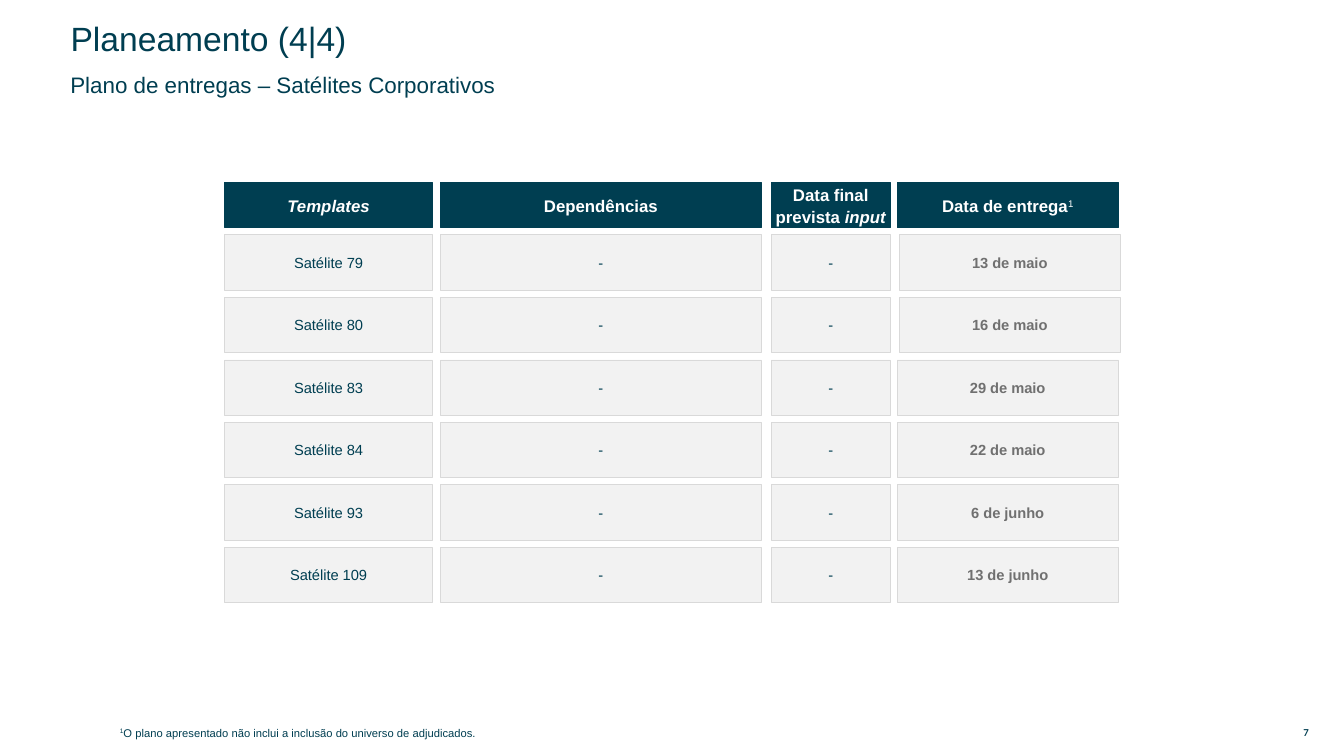
from pptx import Presentation
from pptx.dml.color import RGBColor
from pptx.enum.shapes import MSO_SHAPE
from pptx.enum.text import MSO_ANCHOR, MSO_AUTO_SIZE, PP_ALIGN
from pptx.util import Emu, Pt

PX = 9144  # 100 px to the inch
COLORS = {
    "petrol": "003E51",
    "white": "FFFFFF",
    "cell": "F2F2F2",
    "border": "D9D9D9",
    "date": "707070",
}
# Left edge, width and side inset of each column, relative to the plan
COLUMNS = [(0, 206, 4), (214, 318, 8), (542, 118, 12), (667, 219, 12)]
HEADERS = [
    [("Templates", "italic")],
    [("Dependências", "")],
    [("Data final prevista ", ""), ("input", "italic")],
    [("Data de entrega", ""), ("1", "superscript")],
]
DELIVERIES = [
    ("Satélite 79", "13 de maio"),
    ("Satélite 80", "16 de maio"),
    ("Satélite 83", "29 de maio"),
    ("Satélite 84", "22 de maio"),
    ("Satélite 93", "6 de junho"),
    ("Satélite 109", "13 de junho"),
]
HEADER_HEIGHT, ROW_HEIGHT, FIRST_ROW, ROW_STEP = 45, 55, 52, 62
EARLY_ROWS, EARLY_SHIFT = 2, 2


def color(name):
    return RGBColor.from_string(COLORS[name])


def px(*lengths):
    return [Emu(length * PX) for length in lengths]


def write(shape, spans, size, ink="petrol", bold=False, align=PP_ALIGN.LEFT,
          spacing=1.0, insets=(10, 5), anchor=MSO_ANCHOR.MIDDLE, font="Arial"):
    """Fill a shape with one paragraph of (text, style) spans."""
    frame = shape.text_frame
    frame.word_wrap = True
    frame.auto_size = MSO_AUTO_SIZE.NONE
    frame.vertical_anchor = anchor
    frame.margin_left, frame.margin_top = px(*insets)
    frame.margin_right, frame.margin_bottom = px(*insets)
    para = frame.paragraphs[0]
    para.alignment = align
    para.line_spacing = spacing
    para.space_before = Pt(0)
    para.font.name = font
    para.font.size = Pt(size)
    para.font.bold = bold
    para.font.color.rgb = color(ink)
    for text, style in spans:
        span = para.add_run()
        span.text = text
        if style == "italic":
            span.font.italic = True
        elif style == "superscript":
            span.font.bold = False
            span.font._element.set("baseline", "30000")


def add_cell(page, box, fill, border, border_width):
    cell = page.shapes.add_shape(MSO_SHAPE.RECTANGLE, *px(*box))
    cell.shadow.inherit = False
    cell.fill.solid()
    cell.fill.fore_color.rgb = color(fill)
    cell.line.color.rgb = color(border)
    cell.line.width = Pt(border_width)
    return cell


def add_headings(page, left, top):
    title = page.shapes.title
    title.left, title.top, title.width, title.height = px(left, top, 795, 26)
    write(title, [("Planeamento (4|4)", "")], 24, spacing=0.9)
    subtitle = page.shapes.add_textbox(*px(left, top + 46, 766, 26))
    write(subtitle, [("Plano de entregas – Satélites Corporativos", "")], 16,
          spacing=0.9)


def add_delivery_plan(page, left, top):
    for (offset, width, _), spans in zip(COLUMNS, HEADERS):
        cell = add_cell(page, (left + offset, top, width, HEADER_HEIGHT),
                        "petrol", "petrol", 0.75)
        write(cell, spans, 12, "white", True, PP_ALIGN.CENTER, 1.1, (4, 4))

    for row, (satellite, date) in enumerate(DELIVERIES):
        row_top = top + FIRST_ROW + row * ROW_STEP
        texts = [satellite, "-", "-", date]
        for (offset, width, inset), text in zip(COLUMNS, texts):
            is_date = text == date
            shift = EARLY_SHIFT if is_date and row < EARLY_ROWS else 0
            cell = add_cell(
                page, (left + offset + shift, row_top, width, ROW_HEIGHT),
                "cell", "border", 0.5)
            write(cell, [(text, "")], 10.5, "date" if is_date else "petrol",
                  is_date, PP_ALIGN.CENTER, insets=(inset, 4))


def add_footer(page, left, top):
    note = page.shapes.add_textbox(*px(left, top, 1081, 24))
    spans = [("1", "superscript"),
             ("O plano apresentado não inclui a inclusão do universo de "
              "adjudicados.", "")]
    write(note, spans, 8, spacing=1.1, anchor=MSO_ANCHOR.TOP)
    number = page.shapes.add_textbox(*px(left + 1164, top + 5, 45, 16))
    write(number, [("7", "")], 6.8, bold=True, align=PP_ALIGN.CENTER,
          insets=(6, 3), font="Lato")


def main():
    deck = Presentation()
    deck.slide_width, deck.slide_height = px(1333, 750)
    page = deck.slides.add_slide(deck.slide_layouts[5])
    add_headings(page, 60, 27)
    add_delivery_plan(page, 223, 181)
    add_footer(page, 109, 714)
    deck.save("out.pptx")


if __name__ == "__main__":
    main()
